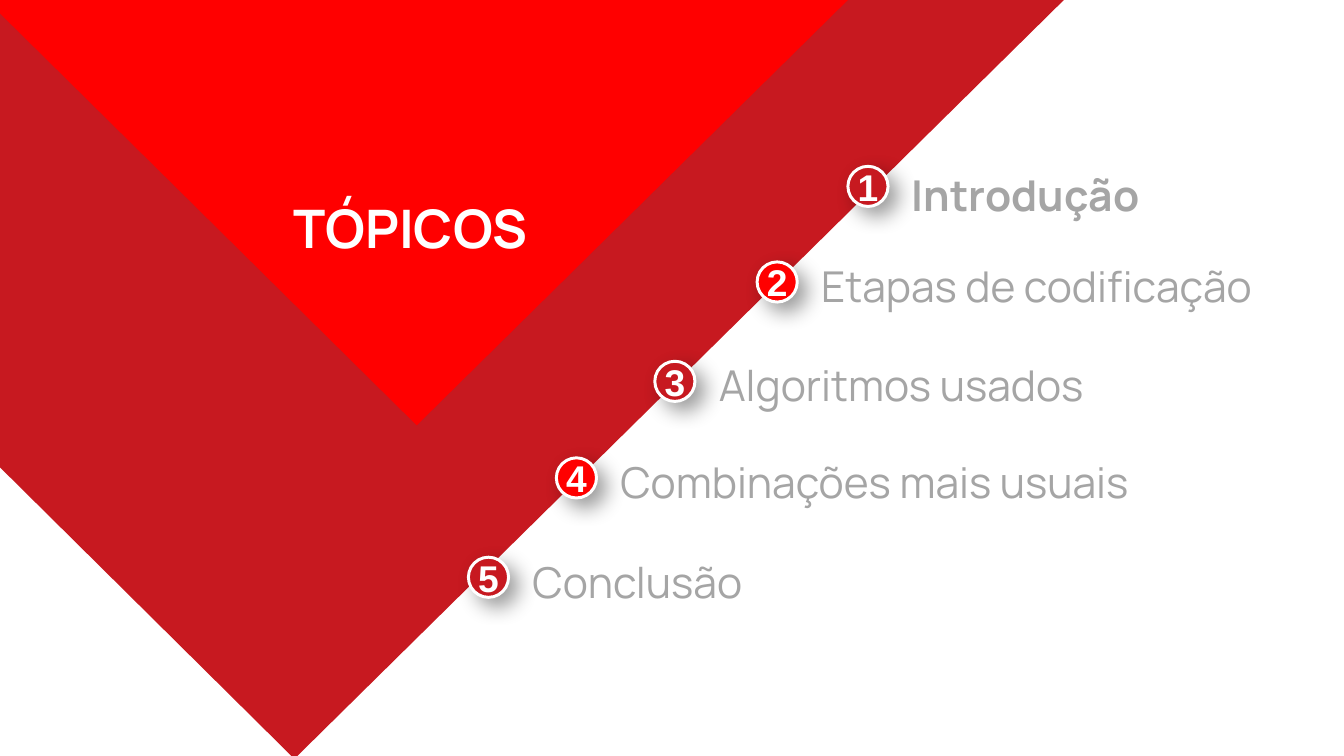
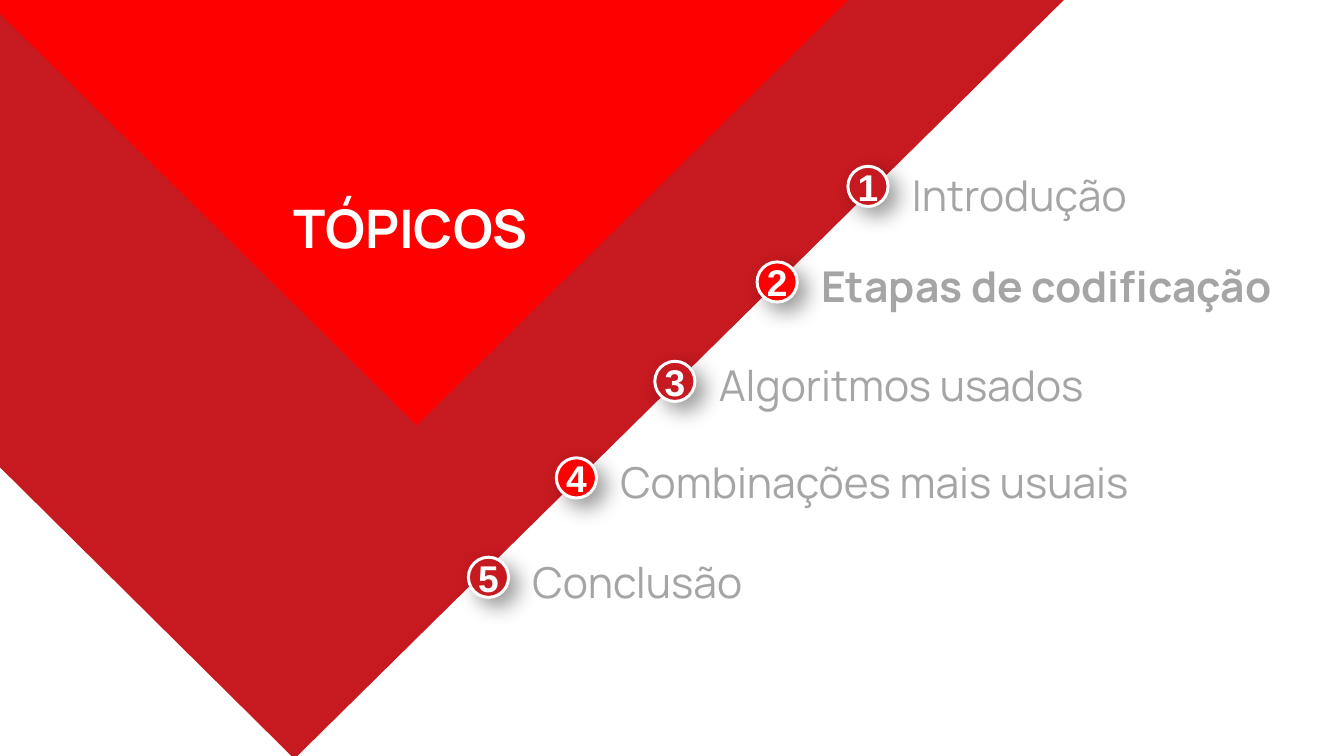
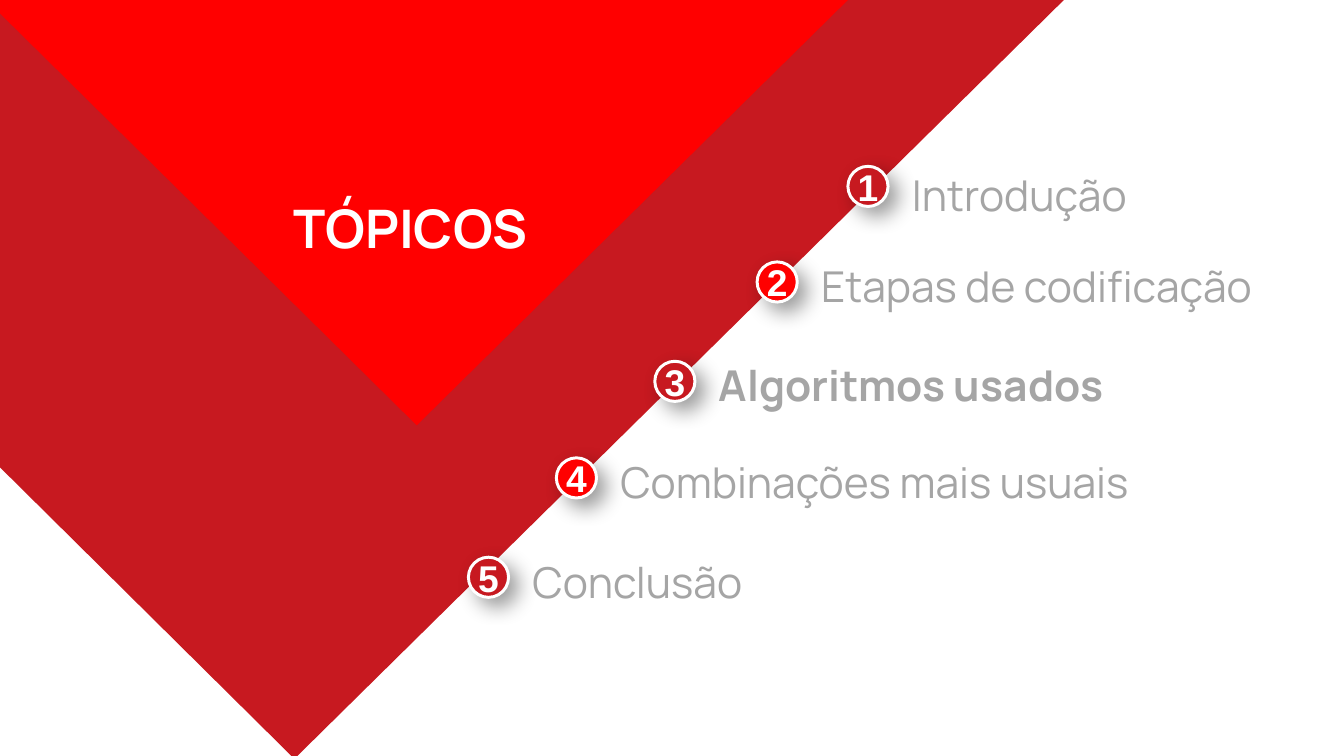
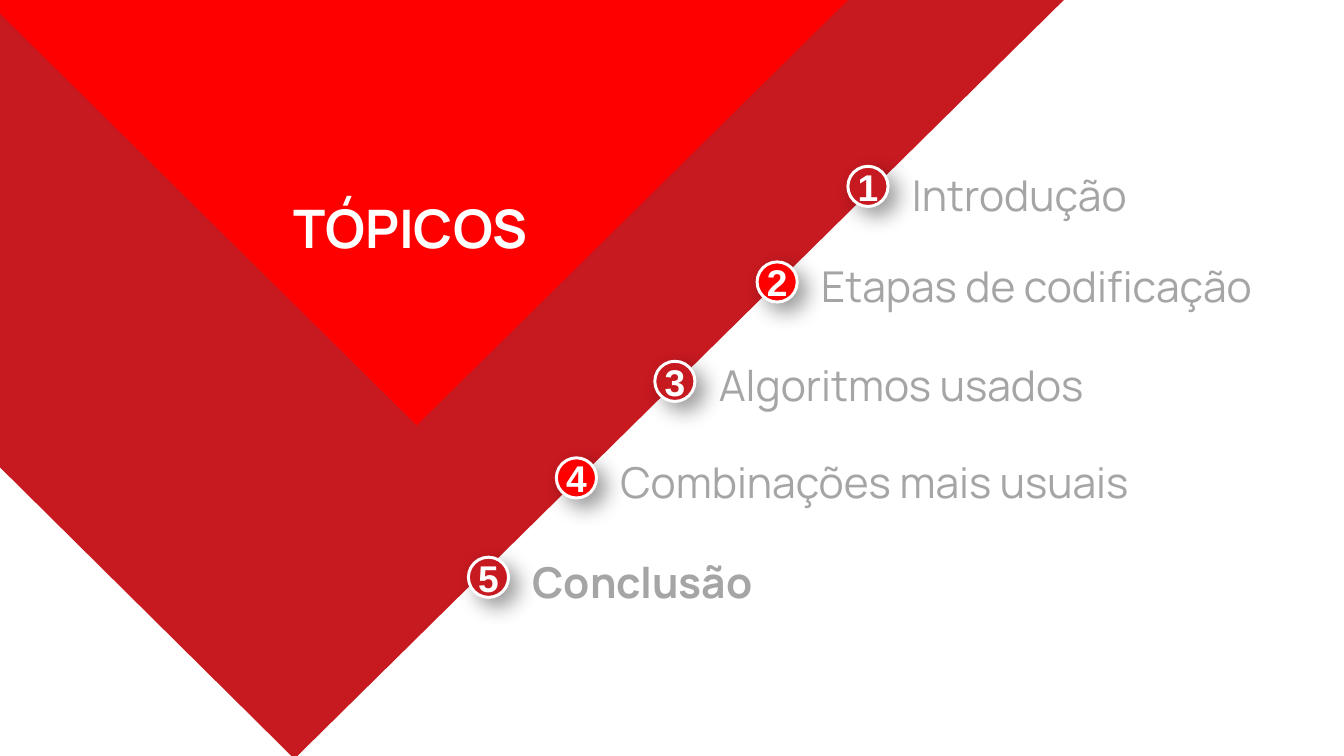
"""Build four agenda slides, each with one topic of the talk in bold."""
import pptx
import pptx.dml.color
import pptx.enum.shapes
import pptx.enum.text
import pptx.oxml
import pptx.oxml.ns
import pptx.util

WIDTH, HEIGHT = 14.06, 7.91
CRIMSON, RED, WHITE, GRAY = "C71920", "FF0000", "FFFFFF", "A5A5A5"
HEADING = "TÓPICOS"
HEADING_BOX = (3.02, 2.04, 2.55, 0.54)
BANDS = [
    (CRIMSON, [(0, 0), (11.13, 0), (3.08, 7.94), (0, 4.89)]),
    (RED, [(0, 0), (8.87, 0), (4.36, 4.45), (0, 0.14)]),
]
TOPICS = [
    ("Introdução", 8.87, 1.74, 1.63),
    ("Etapas de codificação", 7.92, 2.74, 2.58),
    ("Algoritmos usados", 6.85, 3.78, 3.62),
    ("Combinações mais usuais", 5.82, 4.79, 4.63),
    ("Conclusão", 4.9, 5.83, 5.68),
]
CURRENT_TOPICS = [1, 2, 3, 5]
BADGE_SIZE = 0.42
LABEL_INDENT, LABEL_HEIGHT = 0.67, 0.81
SHADOW = (
    f'<a:effectLst {pptx.oxml.ns.nsdecls("a")}>'
    '<a:outerShdw blurRad="203200" dist="114300" dir="2700000" algn="tl" rotWithShape="0">'
    '<a:srgbClr val="000000"><a:alpha val="40000"/></a:srgbClr>'
    "</a:outerShdw></a:effectLst>"
)


def color(code):
    return pptx.dml.color.RGBColor.from_string(code)


def inches(*lengths):
    return [pptx.util.Inches(length) for length in lengths]


def write(holder, text, size, ink, font="Manrope", bold=False, centered=False, middle=True):
    frame = holder.text_frame
    frame.margin_left = frame.margin_top = frame.margin_right = frame.margin_bottom = 0
    frame.word_wrap = True
    anchors = pptx.enum.text.MSO_ANCHOR
    frame.vertical_anchor = anchors.MIDDLE if middle else anchors.TOP
    paragraph = frame.paragraphs[0]
    alignments = pptx.enum.text.PP_ALIGN
    paragraph.alignment = alignments.CENTER if centered else alignments.LEFT
    run = paragraph.add_run()
    run.text = text
    run.font.name, run.font.size, run.font.bold = font, pptx.util.Pt(size), bold
    run.font.color.rgb = color(ink)


def paint(shape, fill):
    shape.shadow.inherit = False
    shape.fill.solid()
    shape.fill.fore_color.rgb = color(fill)
    shape.line.fill.background()


def add_band(slide, fill, corners):
    first, *others = [inches(*corner) for corner in corners]
    outline = slide.shapes.build_freeform(*first)
    outline.add_line_segments(others, close=True)
    paint(outline.convert_to_shape(), fill)


def add_badge(slide, number, left, top):
    badge = slide.shapes.add_shape(
        pptx.enum.shapes.MSO_SHAPE.OVAL, *inches(left, top, BADGE_SIZE, BADGE_SIZE))
    paint(badge, CRIMSON if number % 2 else RED)
    badge.line.color.rgb = color(WHITE)
    badge.line.width = pptx.util.Pt(2.25)
    properties = badge.element.spPr
    properties.replace(properties.find(pptx.oxml.ns.qn("a:effectLst")),
                       pptx.oxml.parse_xml(SHADOW))
    write(badge, str(number), 28, WHITE, font="Arial", bold=True, centered=True)


def add_agenda(deck, current):
    slide = deck.slides.add_slide(deck.slide_layouts[6])
    for fill, corners in BANDS:
        add_band(slide, fill, corners)
    heading = slide.shapes.add_textbox(*inches(*HEADING_BOX))
    write(heading, HEADING, 40, WHITE, bold=True, centered=True, middle=False)
    for number, (topic, left, badge_top, label_top) in enumerate(TOPICS, 1):
        add_badge(slide, number, left, badge_top)
        label_left = left + LABEL_INDENT
        label = slide.shapes.add_textbox(
            *inches(label_left, label_top, WIDTH - label_left, LABEL_HEIGHT))
        write(label, topic, 32, GRAY, bold=number == current)


def main():
    deck = pptx.Presentation()
    deck.slide_width, deck.slide_height = inches(WIDTH, HEIGHT)
    for current in CURRENT_TOPICS:
        add_agenda(deck, current)
    deck.save("out.pptx")


if __name__ == "__main__":
    main()
